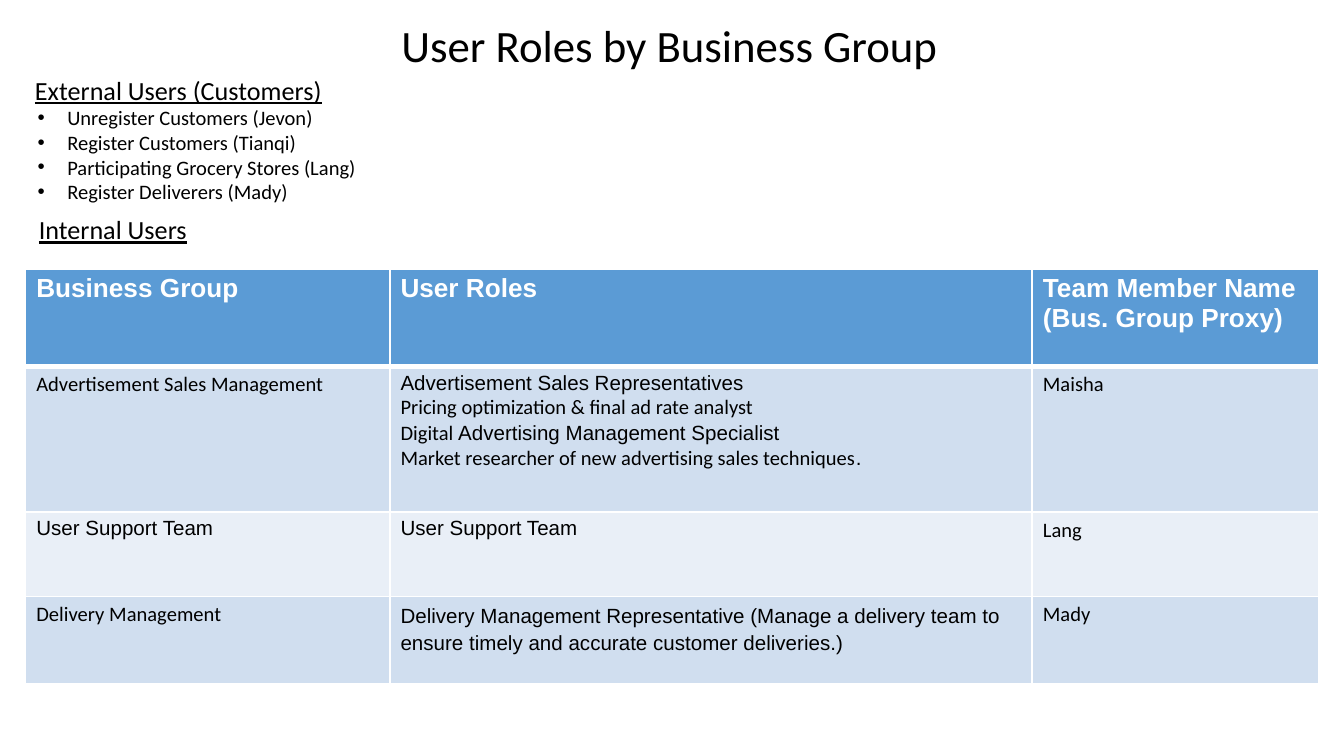
from dataclasses import dataclass

from lxml import etree
from pptx import Presentation
from pptx.dml.color import RGBColor
from pptx.enum.text import MSO_ANCHOR, MSO_AUTO_SIZE, PP_ALIGN
from pptx.oxml.ns import qn
from pptx.util import Inches, Pt

CENTER, LEFT = PP_ALIGN.CENTER, PP_ALIGN.LEFT
TOP = MSO_ANCHOR.TOP
NO_AUTOFIT = MSO_AUTO_SIZE.NONE


@dataclass(frozen=True)
class Theme:
    text: str = "000000"
    white: str = "FFFFFF"
    header: str = "5B9BD5"
    band_dark: str = "D0DEEF"
    band_light: str = "E9EFF7"
    sans: str = "Calibri"
    alt: str = "Arial"
    title_size: int = 24
    heading_size: int = 14
    body_size: int = 11


THEME = Theme()
C, A = THEME.sans, THEME.alt

# Content
EXTERNAL_USERS = ["Unregister Customers (Jevon)", "Register Customers (Tianqi)",
                  "Participating Grocery Stores (Lang)", "Register Deliverers (Mady)"]
HEADERS = [["Business Group"], ["User Roles"], ["Team Member Name", "(Bus. Group Proxy)"]]
# Each cell is a list of paragraphs, each paragraph a list of (text, font) runs
GROUPS = [
    [[[("Advertisement Sales Management", C)]],
     [[("Advertisement Sales Representatives", A)],
      [("Pricing optimization & final ad rate analyst", C)],
      [("Digital ", C), ("Advertising Management Specialist", A)],
      [("Market researcher of new advertising sales techniques", C), (".", A)]],
     [[("Maisha", C)]]],
    [[[("User Support Team", A)]], [[("User Support Team", A)]], [[("Lang", C)]]],
    [[[("Delivery Management", C)]],
     [[("Delivery Management Representative (Manage a delivery team to ensure timely "
        "and accurate customer deliveries.)", A)]],
     [[("Mady", C)]]],
]
COLUMNS = [2.71, 4.78, 2.13]
ROWS = [0.73, 1.08, 0.63, 0.65]


def set_attrs(obj, **values):
    for name, value in values.items():
        setattr(obj, name, value)


def add_run(p, text, size, font=THEME.sans, color=THEME.text, **styles):
    r = p.add_run()
    r.text = text
    set_attrs(r.font, name=font, size=Pt(size), **styles)
    r.font.color.rgb = RGBColor.from_string(color)


def set_frame(tf, dx, dy):
    set_attrs(tf, word_wrap=True, auto_size=NO_AUTOFIT, vertical_anchor=TOP,
              margin_left=Inches(dx), margin_right=Inches(dx),
              margin_top=Inches(dy), margin_bottom=Inches(dy))


def place(sp, left, top, width, height):
    set_attrs(sp, left=Inches(left), top=Inches(top),
              width=Inches(width), height=Inches(height))


def set_bullet(p, char=None):
    pPr = p._p.get_or_add_pPr()
    pPr.set("marL", str(Inches(0.24) if char else 0))
    pPr.set("indent", str(Inches(-0.22) if char else 0))
    if char:
        etree.SubElement(pPr, qn("a:buFont"), typeface=THEME.alt)
        etree.SubElement(pPr, qn("a:buChar"), char=char)
    else:
        etree.SubElement(pPr, qn("a:buNone"))


def set_borders(cell, bottom):
    tcPr = cell._tc.get_or_add_tcPr()
    for side, width in (("L", 1), ("R", 1), ("T", 1), ("B", bottom)):
        ln = etree.SubElement(tcPr, qn(f"a:ln{side}"), w=str(Pt(width)))
        fill = etree.SubElement(ln, qn("a:solidFill"))
        etree.SubElement(fill, qn("a:srgbClr"), val=THEME.white)


def fill_cell(cell, paragraphs, fill, size, bottom=1, **run_format):
    set_attrs(cell, margin_left=Inches(0.08), margin_right=Inches(0.08),
              margin_top=Inches(0.04), margin_bottom=Inches(0.04), vertical_anchor=TOP)
    set_borders(cell, bottom)
    cell.fill.solid()
    cell.fill.fore_color.rgb = RGBColor.from_string(fill)
    tf = cell.text_frame
    for i, runs in enumerate(paragraphs):
        p = tf.add_paragraph() if i else tf.paragraphs[0]
        for text, font in runs:
            add_run(p, text, size, font, **run_format)


def add_title(slide, text):
    sp = slide.shapes.title
    place(sp, 2.89, 0.09, 4.18, 0.48)
    set_frame(sp.text_frame, 0.07, 0.04)
    p = sp.text_frame.paragraphs[0]
    p.alignment = CENTER
    add_run(p, text, THEME.title_size)


def add_user_list(slide, heading, items):
    sp = slide.placeholders[1]
    place(sp, 0.19, 0.51, 3.65, 1.05)
    tf = sp.text_frame
    set_frame(tf, 0.07, 0.04)
    for i, text in enumerate([heading] + items):
        p = tf.add_paragraph() if i else tf.paragraphs[0]
        set_attrs(p, alignment=LEFT, space_before=Pt(0), space_after=Pt(0))
        set_bullet(p, "•" if i else None)
        size = THEME.body_size if i else THEME.heading_size
        add_run(p, text, size, underline=not i)


def add_heading(slide, text):
    sp = slide.shapes.add_textbox(Inches(0.19), Inches(1.49), Inches(3.28), Inches(0.44))
    set_frame(sp.text_frame, 0.1, 0.1)
    add_run(sp.text_frame.paragraphs[0], text, THEME.heading_size, underline=True)


def add_roles_table(slide):
    table = slide.shapes.add_table(
        len(ROWS), len(COLUMNS), Inches(0.19), Inches(2),
        Inches(sum(COLUMNS)), Inches(sum(ROWS))).table
    for column, width in zip(table.columns, COLUMNS):
        column.width = Inches(width)
    for row, height in zip(table.rows, ROWS):
        row.height = Inches(height)
    # Header row
    for cell, lines in zip(table.rows[0].cells, HEADERS):
        fill_cell(cell, [[(line, A)] for line in lines], THEME.header,
                  THEME.heading_size, bottom=3, color=THEME.white, bold=True)
    # Banded group rows
    for i, group in enumerate(GROUPS):
        band = THEME.band_light if i % 2 else THEME.band_dark
        for cell, paragraphs in zip(table.rows[i + 1].cells, group):
            fill_cell(cell, paragraphs, band, THEME.body_size, bold=False)
    # Looser role descriptions below the first group
    for i in (2, 3):
        p = table.cell(i, 1).text_frame.paragraphs[0]
        set_attrs(p, space_before=Pt(12), space_after=Pt(12))
    p.line_spacing = 1.15


def main():
    prs = Presentation()
    # Widescreen, 16 to 9
    width = Inches(10)
    set_attrs(prs, slide_width=width, slide_height=width * 9 // 16)
    slide = prs.slides.add_slide(prs.slide_layouts[1])
    add_roles_table(slide)
    add_heading(slide, "Internal Users")
    add_user_list(slide, "External Users (Customers)", EXTERNAL_USERS)
    add_title(slide, "User Roles by Business Group")
    prs.save("out.pptx")


main()
